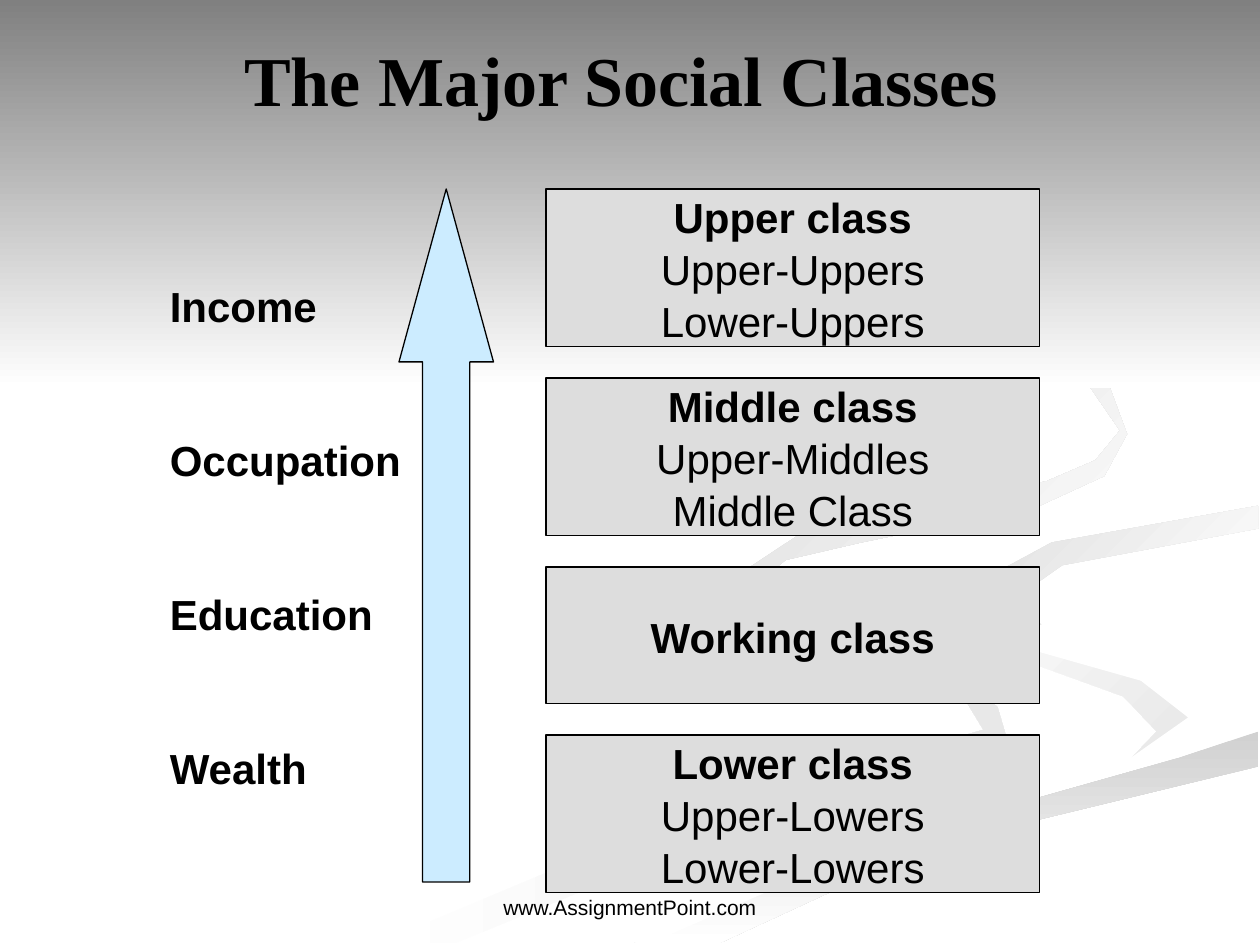
"""Build a slide that sets the major social classes beside a rising arrow."""
import pptx
import pptx.dml.color
import pptx.enum.shapes
import pptx.enum.text
import pptx.util

Pt = pptx.util.Pt
RGB = pptx.dml.color.RGBColor.from_string
Align = pptx.enum.text.PP_ALIGN
Anchor = pptx.enum.text.MSO_ANCHOR
Kind = pptx.enum.shapes.MSO_SHAPE

COLORS = {
    "ink": "000000", "white": "FFFFFF", "box": "DDDDDD", "arrow": "CCECFF",
    "band": "808080", "pale": "E8E8E8", "dark": "D1D1D1",
    "mid": "E0E0E0", "curl": "D8D8D8",
}


def paint(shape, first, last=None, angle=0, edge=False):
    shape.shadow.inherit = False
    if last:
        shape.fill.gradient()
        shape.fill.gradient_angle = -angle % 360
        for stop, name in zip(shape.fill.gradient_stops, (first, last)):
            stop.color.rgb = RGB(COLORS[name])
    else:
        shape.fill.solid()
        shape.fill.fore_color.rgb = RGB(COLORS[first])
    if edge:
        shape.line.color.rgb = RGB(COLORS["ink"])
        shape.line.width = Pt(0.75)
    else:
        shape.line.fill.background()


def write(shape, lines, size, bold, font="Arial", align=Align.CENTER,
          anchor=Anchor.MIDDLE, gap=0, pitch=1):
    frame = shape.text_frame
    frame.word_wrap = True
    frame.vertical_anchor = anchor
    for i, line in enumerate(lines):
        para = frame.paragraphs[0] if i == 0 else frame.add_paragraph()
        para.text = line
        para.alignment = align
        para.line_spacing = pitch
        para.space_before = Pt(gap if i else 0)
        para.font.name = font
        para.font.size = Pt(size)
        para.font.bold = bold == "all" or (bold == "head" and i == 0)
        para.font.color.rgb = RGB(COLORS["ink"])


deck = pptx.Presentation()
deck.slide_width, deck.slide_height = Pt(720), Pt(540)
slide = deck.slides.add_slide(deck.slide_layouts[6])
shapes = slide.shapes

ribbons = [
    (("white", "pale", 0), [
        (562, 398), (423, 346), (414, 330), (428, 354), (548, 394),
        (562, 417), (388, 467), (216, 539), (260, 539), (406, 479),
        (561, 436), (575, 421), (570, 404)]),
    (("white", "pale", 45), [
        (679, 410), (652, 389), (546, 359), (521, 334), (537, 360),
        (642, 398), (661, 418), (644, 436), (671, 424)]),
    (("dark", "white", 90), [
        (362, 539), (411, 539), (500, 498), (591, 469), (719, 438),
        (719, 418), (674, 433), (501, 482)]),
    (("white",), [
        (522, 334), (546, 359), (652, 389), (679, 410), (642, 436),
        (477, 481), (343, 539), (374, 538), (501, 482), (719, 418),
        (719, 387), (599, 359), (562, 333), (612, 307), (719, 289),
        (719, 279), (567, 304)]),
    (("mid", "white", 45), [
        (562, 331), (570, 344), (595, 357), (580, 342), (607, 323),
        (719, 302), (719, 289), (601, 310)]),
    (("curl", "white", 45), [
        (492, 310), (594, 289), (631, 272), (644, 248), (634, 221),
        (607, 198), (549, 168), (609, 201), (640, 246), (626, 263),
        (598, 275), (459, 304), (415, 333), (448, 360), (427, 338),
        (449, 320)]),
]
for look, points in ribbons:
    pen = shapes.build_freeform(*points[0], scale=Pt(1))
    pen.add_line_segments(points[1:], close=True)
    paint(pen.convert_to_shape(), *look)

band = shapes.add_shape(Kind.RECTANGLE, 0, 0, Pt(720), Pt(222))
paint(band, "band", "white", 90)

title = shapes.add_textbox(Pt(36), 0, Pt(648), Pt(90))
write(title, ["The Major Social Classes "], 40, "all", "Times New Roman")

classes = [
    (90, ["Upper class", "Upper-Uppers", "Lower-Uppers"]),
    (90, ["Middle class", "Upper-Middles", "Middle Class"]),
    (78, ["Working class"]),
    (90, ["Lower class", "Upper-Lowers", "Lower-Lowers"]),
]
top = 108
for height, lines in classes:
    box = shapes.add_shape(Kind.RECTANGLE, Pt(312), Pt(top), Pt(282), Pt(height))
    paint(box, "box", edge=True)
    write(box, lines, 24, "head", pitch=1.04)
    top += height + 18

arrow = shapes.add_shape(Kind.UP_ARROW, Pt(228), Pt(108), Pt(54), Pt(396))
arrow.adjustments[1] = 1.83
paint(arrow, "arrow", edge=True)

factors = shapes.add_textbox(Pt(90), Pt(108), Pt(150), Pt(396))
write(factors, ["Income", "Occupation", "Education", "Wealth"], 24, "all",
      align=Align.LEFT, gap=58, pitch=1.04)

footer = shapes.add_textbox(Pt(246), Pt(492), Pt(228), Pt(37))
write(footer, ["www.AssignmentPoint.com"], 12, "none", anchor=Anchor.BOTTOM)

deck.save("out.pptx")
